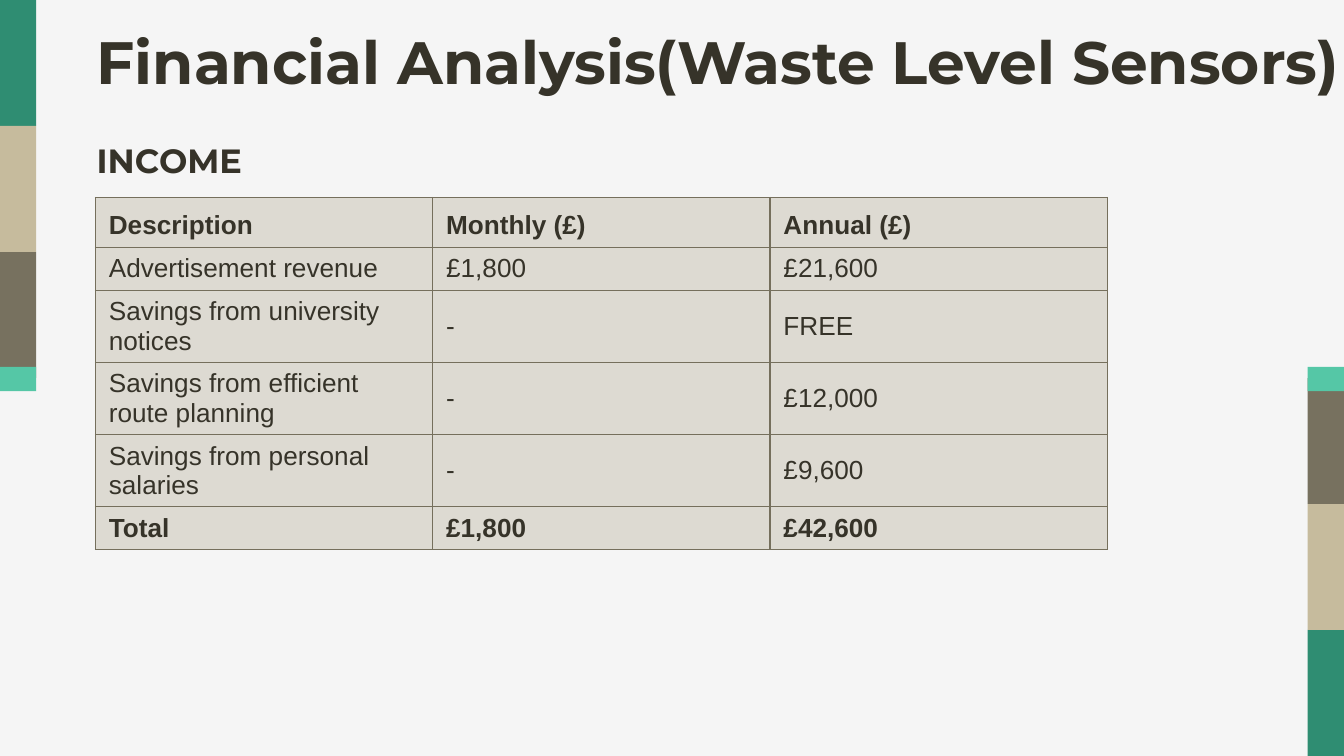
from lxml import etree
from pptx import Presentation
from pptx.dml.color import RGBColor
from pptx.enum.shapes import MSO_SHAPE
from pptx.enum.text import MSO_ANCHOR, PP_ALIGN
from pptx.oxml.ns import qn
from pptx.util import Inches, Pt

RECTANGLE = MSO_SHAPE.RECTANGLE
BOTTOM, MIDDLE = MSO_ANCHOR.BOTTOM, MSO_ANCHOR.MIDDLE
CENTER = PP_ALIGN.CENTER

# Content
HEADINGS = [  # text, size, (left, top, width, height)
    ("INCOME", 18, (0.52, 0.74, 1.48, 0.7)),
    ("Financial Analysis(Waste Level Sensors)", 32, (0.27, 0.12, 10.15, 0.7)),
]
INCOME_ROWS = [
    ("Description", "Monthly (£)", "Annual (£)"),
    ("Advertisement revenue", "£1,800", "£21,600"),
    ("Savings from university notices", "-", "FREE"),
    ("Savings from efficient route planning", "-", "£12,000"),
    ("Savings from personal salaries", "-", "£9,600"),
    ("Total", "£1,800", "£42,600"),
]
COLORS = {
    "background": "F5F5F5", "text": "363329", "cell": "DDDAD2", "border": "756F5C",
    "green": "2F8D72", "sand": "C6BB9D", "brown": "77715F", "mint": "55C7A6",
}
BAND_COLORS = ["green", "sand", "brown"]  # from the slide's outer corner inwards

# Layout, in inches
SLIDE_W = 10
SLIDE_H = SLIDE_W * 9 / 16
BAND_W, BAND_H = 0.27, SLIDE_H / 6
MINT_TOP, MINT_H = 2.73, 0.18
TABLE_LEFT, TABLE_TOP, COLUMN_W = 0.71, 1.47, 2.51
HEADER_H, ONE_LINE_H, TWO_LINE_H = 0.37, 0.32, 0.53
LINE_CHARS = 25  # longest text that fits on one line of a column


def rgb(name):
    return RGBColor.from_string(COLORS[name])


def add_band(left, top, height, color):
    band = slide.shapes.add_shape(
        RECTANGLE, Inches(left), Inches(top), Inches(BAND_W), Inches(height))
    band.fill.solid()
    band.fill.fore_color.rgb = rgb(color)
    band.line.fill.background()
    band.shadow.inherit = False


def style_text(paragraph, font_name, size, bold):
    for run in paragraph.runs:
        run.font.name = font_name
        run.font.size = Pt(size)
        run.font.bold = bold
        run.font.color.rgb = rgb("text")


def add_borders(cell):
    properties = cell._tc.get_or_add_tcPr()
    for index, side in enumerate(("a:lnL", "a:lnR", "a:lnT", "a:lnB")):
        border = etree.Element(qn(side), w=str(Pt(0.75)))
        fill = etree.SubElement(border, qn("a:solidFill"))
        etree.SubElement(fill, qn("a:srgbClr"), val=COLORS["border"])
        properties.insert(index, border)


def row_height(index, row):
    if index == 0:
        return HEADER_H
    return TWO_LINE_H if len(row[0]) > LINE_CHARS else ONE_LINE_H


prs = Presentation()
prs.slide_width, prs.slide_height = Inches(SLIDE_W), Inches(SLIDE_H)
slide = prs.slides.add_slide(prs.slide_layouts[6])
slide.background.fill.solid()
slide.background.fill.fore_color.rgb = rgb("background")

# Side bands: downwards on the left, upwards on the right
right_edge = SLIDE_W - BAND_W
for index, color in enumerate(BAND_COLORS):
    add_band(0, index * BAND_H, BAND_H, color)
    add_band(right_edge, SLIDE_H - (index + 1) * BAND_H, BAND_H, color)
for left in (0, right_edge):
    add_band(left, MINT_TOP, MINT_H, "mint")

# Income table
heights = [row_height(index, row) for index, row in enumerate(INCOME_ROWS)]
column_count = len(INCOME_ROWS[0])
income = slide.shapes.add_table(
    len(INCOME_ROWS), column_count, Inches(TABLE_LEFT), Inches(TABLE_TOP),
    Inches(COLUMN_W * column_count), Inches(sum(heights))).table
for column in income.columns:
    column.width = Inches(COLUMN_W)
for r, row in enumerate(INCOME_ROWS):
    income.rows[r].height = Inches(heights[r])
    for c, text in enumerate(row):
        cell = income.cell(r, c)
        cell.text_frame.text = text
        cell.vertical_anchor = BOTTOM if r == 0 else MIDDLE
        cell.fill.solid()
        cell.fill.fore_color.rgb = rgb("cell")
        add_borders(cell)
        style_text(cell.text_frame.paragraphs[0], "Arial", 14,
                   r in (0, len(INCOME_ROWS) - 1))

# Headings
for text, size, box in HEADINGS:
    frame = slide.shapes.add_textbox(*map(Inches, box)).text_frame
    frame.word_wrap = True
    frame.vertical_anchor = BOTTOM
    frame.margin_left = frame.margin_right = Inches(0.1)
    frame.margin_top = frame.margin_bottom = Inches(0.1)
    frame.text = text
    frame.paragraphs[0].alignment = CENTER
    style_text(frame.paragraphs[0], "Montserrat", size, True)

prs.save("out.pptx")
